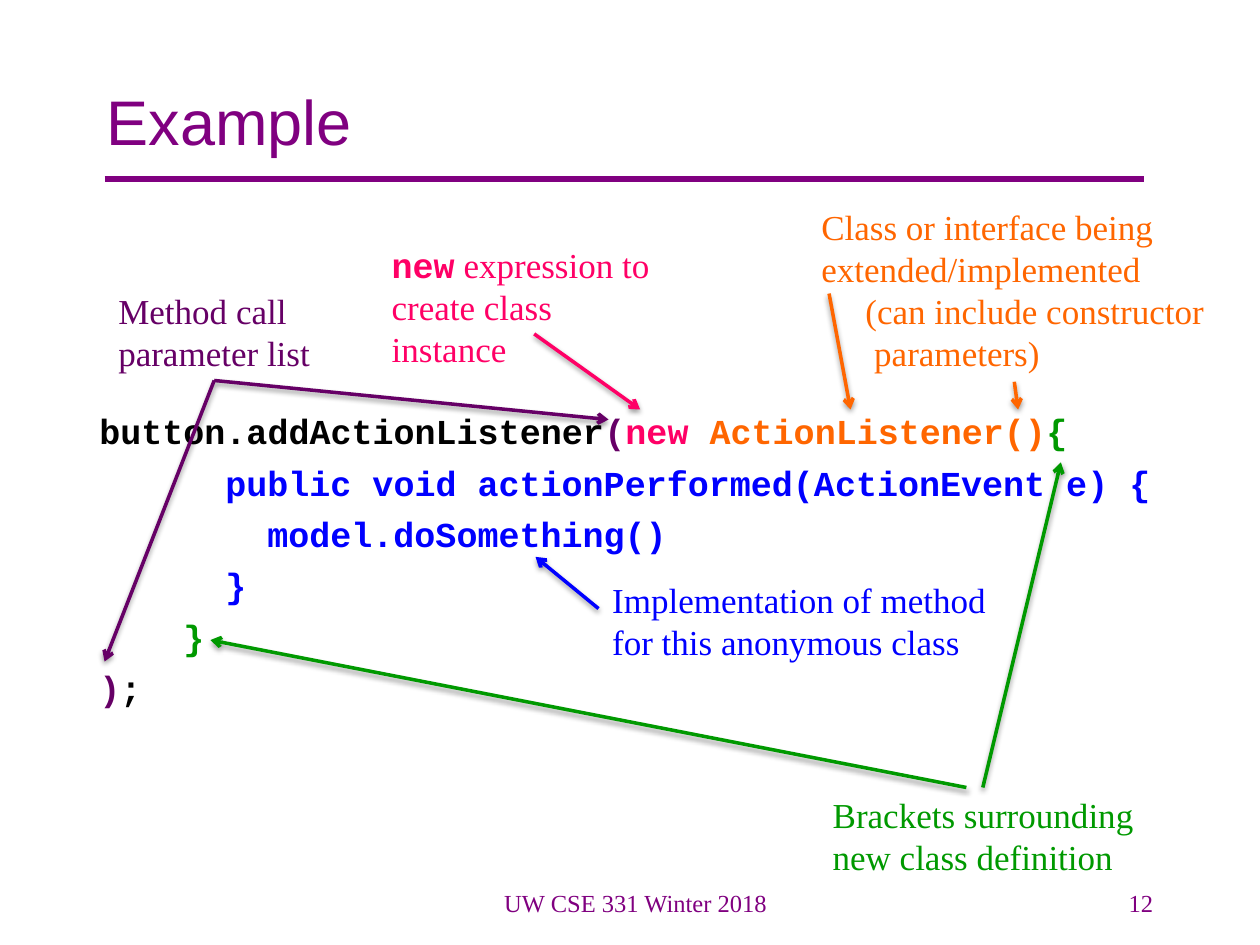
from lxml import etree
from pptx import Presentation
from pptx.dml.color import RGBColor
from pptx.enum.shapes import MSO_CONNECTOR
from pptx.enum.text import MSO_ANCHOR, PP_ALIGN
from pptx.oxml.ns import qn
from pptx.util import Inches, Pt

STRAIGHT = MSO_CONNECTOR.STRAIGHT
TOP, MIDDLE = MSO_ANCHOR.TOP, MSO_ANCHOR.MIDDLE
LEFT, CENTER, RIGHT = PP_ALIGN.LEFT, PP_ALIGN.CENTER, PP_ALIGN.RIGHT

SANS, SERIF, MONO = "Arial", "Times New Roman", "Courier New"
PURPLE, PLUM, PINK = "800080", "660066", "FF0066"
ORANGE, GREEN, BLUE, BLACK = "FF6600", "009900", "0000FF", "000000"

CODE_SIZE = 20
CODE_MARGIN = 0.44
CHARACTER_WIDTH = 0.6 * CODE_SIZE / 72

# Each line of code: indent in characters, then coloured pieces.
CODE = [
    (0, [("button.addActionListener", BLACK), ("(", PLUM), ("new ", PINK),
         ("ActionListener()", ORANGE), ("{", GREEN)]),
    (6, [("public void actionPerformed(ActionEvent e) {", BLUE)]),
    (8, [("model.doSomething()", BLUE)]),
    (6, [("}", BLUE)]),
    (4, [("}", GREEN)]),
    (0, [(")", PLUM), (";", BLACK)]),
]

# Each note: box, colour, lines as (indent, code word, text), arrows.
NOTES = [
    ((3.01, 1.88, 2.45, 0.76), PINK,
     [(0, "new", " expression to"), (0, "", "create class instance")],
     [(4.24, 2.65, 5.08, 3.25)]),
    ((6.51, 6.25, 2.59, 0.76), GREEN,
     [(0, "", "Brackets surrounding"), (0, "", "new class definition")],
     [(7.67, 6.25, 1.67, 5.08), (7.8, 6.25, 8.42, 3.67)]),
    ((4.76, 4.54, 3.17, 0.76), BLUE,
     [(0, "", "Implementation of method"), (0, "", "for this anonymous class")],
     [(4.75, 4.83, 4.25, 4.42)]),
    ((0.84, 2.25, 1.72, 0.76), PLUM,
     [(0, "", "Method call"), (0, "", "parameter list")],
     [(1.7, 3.02, 4.83, 3.33), (1.7, 3.02, 0.83, 5.25)]),
    ((6.42, 1.58, 3.24, 1.43), ORANGE,
     [(0, "", "Class or interface being"), (0, "", "extended/implemented"),
      (0.35, "", "(can include constructor"), (0.42, "", "parameters)")],
     [(6.58, 2.33, 6.75, 3.25), (8.05, 3.03, 8.08, 3.25)]),
]


def rgb(color):
    return RGBColor.from_string(color)


def add_box(slide, box, wrap=True, anchor=TOP):
    shape = slide.shapes.add_textbox(*map(Inches, box))
    text_frame = shape.text_frame
    text_frame.word_wrap = wrap
    text_frame.vertical_anchor = anchor
    return text_frame


def add_run(paragraph, text, font_name, size, color, bold=False):
    run = paragraph.add_run()
    run.text = text
    run.font.name = font_name
    run.font.size = Pt(size)
    run.font.bold = bold
    run.font.color.rgb = rgb(color)


def add_paragraph(text_frame, index, indent):
    """Return the paragraph at index, with its left indent in inches."""
    paragraph = text_frame.add_paragraph() if index else text_frame.paragraphs[0]
    properties = paragraph._p.get_or_add_pPr()
    properties.set("marL", str(Inches(indent)))
    properties.set("indent", "0")
    return paragraph


def add_label(slide, box, text, font_name, size, align=LEFT, anchor=TOP):
    paragraph = add_box(slide, box, anchor=anchor).paragraphs[0]
    paragraph.alignment = align
    add_run(paragraph, text, font_name, size, PURPLE)


def add_line(slide, ends, color, width):
    connector = slide.shapes.add_connector(STRAIGHT, *map(Inches, ends))
    connector.line.color.rgb = rgb(color)
    connector.line.width = Pt(width)
    effects = etree.SubElement(connector._element.spPr, qn("a:effectLst"))
    return connector, effects


def add_arrow(slide, ends, color):
    """Draw a line with an open arrowhead at its end and a soft shadow."""
    connector, effects = add_line(slide, ends, color, 2)
    etree.SubElement(connector.line._get_or_add_ln(), qn("a:tailEnd"), type="arrow")
    shadow = etree.SubElement(
        effects, qn("a:outerShdw"), blurRad=str(Pt(3.1)), dist=str(Pt(1.6)),
        dir="5400000", rotWithShape="0")
    shade = etree.SubElement(shadow, qn("a:srgbClr"), val=BLACK)
    etree.SubElement(shade, qn("a:alpha"), val="38000")


def add_code(slide):
    text_frame = add_box(slide, (0.25, 1.75, 9.25, 4.92))
    text_frame.margin_top = Inches(1.5)
    for index, (characters, pieces) in enumerate(CODE):
        indent = CODE_MARGIN + characters * CHARACTER_WIDTH
        paragraph = add_paragraph(text_frame, index, indent)
        paragraph.space_after = Pt(5.4)
        for text, color in pieces:
            add_run(paragraph, text, MONO, CODE_SIZE, color, bold=True)


def add_note(slide, box, color, lines, arrows):
    text_frame = add_box(slide, box, wrap=False)
    for index, (indent, code_word, text) in enumerate(lines):
        paragraph = add_paragraph(text_frame, index, indent)
        if code_word:
            add_run(paragraph, code_word, MONO, 20, color, bold=True)
        add_run(paragraph, text, SERIF, 20, color)
    for ends in arrows:
        add_arrow(slide, ends, color)


def main():
    presentation = Presentation()
    presentation.slide_width = Inches(10)
    presentation.slide_height = Inches(7.5)
    slide = presentation.slides.add_slide(presentation.slide_layouts[6])
    add_line(slide, (0.83, 1.42, 9.08, 1.42), PURPLE, 3)
    add_label(slide, (0.75, 0.33, 8.5, 1.25), "Example", SANS, 36, anchor=MIDDLE)
    add_code(slide)
    for note in NOTES:
        add_note(slide, *note)
    add_label(slide, (3.17, 7, 3.75, 0.5), "UW CSE 331 Winter 2018", SERIF, 14, CENTER)
    add_label(slide, (7.17, 7, 2.08, 0.5), "12", SERIF, 14, RIGHT)
    presentation.save("out.pptx")


if __name__ == "__main__":
    main()
